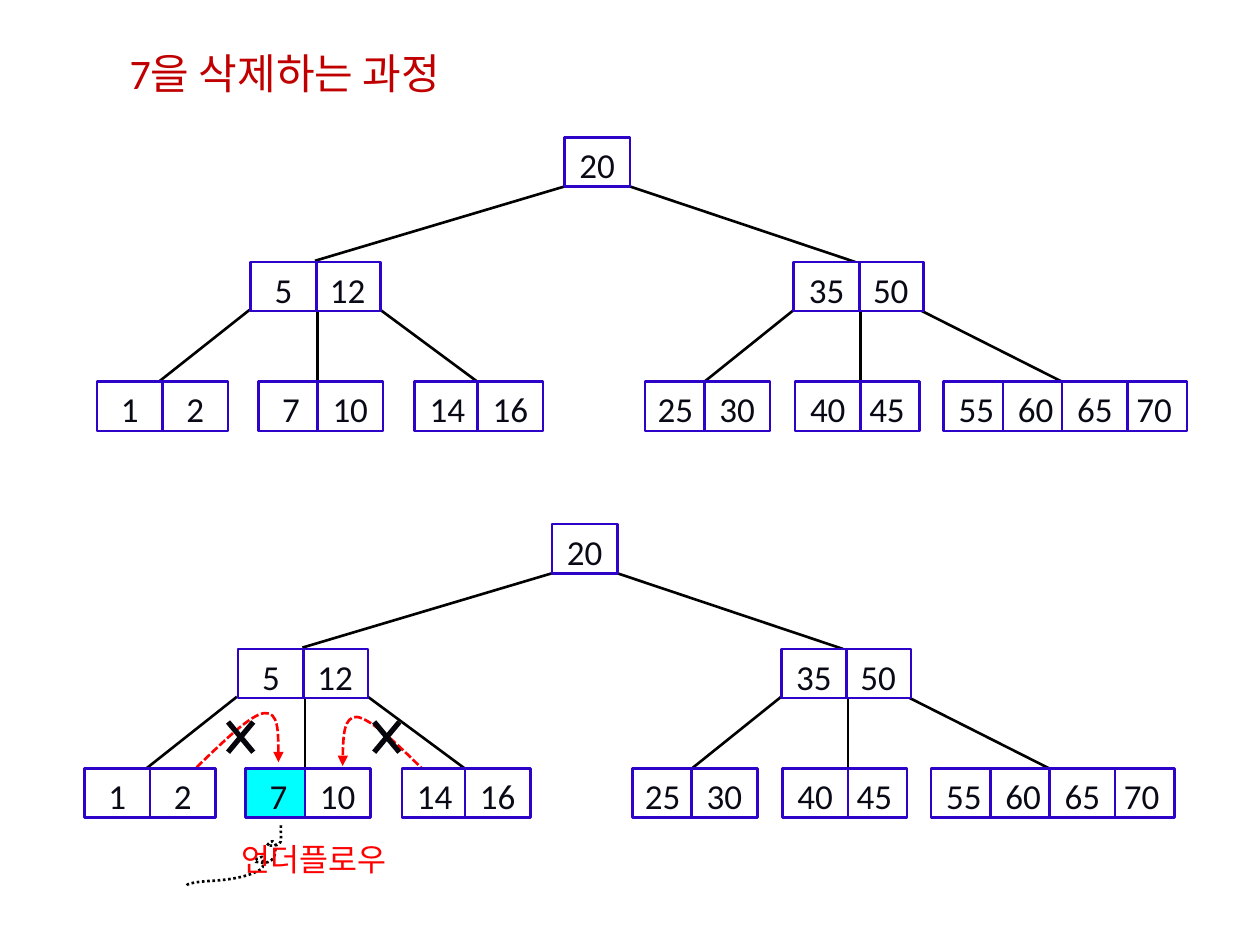
from lxml.etree import SubElement
from pptx import Presentation
from pptx.dml.color import RGBColor
from pptx.enum.dml import MSO_LINE
from pptx.enum.shapes import MSO_CONNECTOR, MSO_SHAPE
from pptx.enum.text import MSO_ANCHOR, MSO_AUTO_SIZE, PP_ALIGN
from pptx.oxml.ns import qn
from pptx.util import Inches, Pt

WHITE = RGBColor(0xFF, 0xFF, 0xFF)
BLACK = RGBColor(0x00, 0x00, 0x00)
INK = RGBColor(0x09, 0x0A, 0x15)
CROSS = RGBColor(0x05, 0x05, 0x0B)
BORDER = RGBColor(0x2D, 0x03, 0xC9)
RED = RGBColor(0xFF, 0x00, 0x00)
TITLE_RED = RGBColor(0xC0, 0x00, 0x00)
CYAN = RGBColor(0x00, 0xFF, 0xFF)

LATIN_FONT = "Calibri"
KOREAN_FONT = "Noto Sans CJK KR"
CELL_WIDTH, CELL_HEIGHT = 0.52, 0.39

# Each node: top, then its keys with their left edges
NODES = [
    (1.09, [("20", 4.48)]),
    (2.08, [("12", 2.5), ("5", 1.99)]),
    (2.08, [("50", 6.81), ("35", 6.3)]),
    (3.03, [("1", 0.77), ("2", 1.29)]),
    (3.03, [("7", 2.05), ("10", 2.52)]),
    (3.03, [("14", 3.29), ("16", 3.79)]),
    (3.03, [("25", 5.12), ("30", 5.59)]),
    (3.03, [("45", 6.78), ("40", 6.31)]),
    (3.03, [("55", 7.49), ("70", 8.9), ("60", 7.96), ("65", 8.43)]),
]
EDGES = [
    ((4.48, 1.48), (2.5, 2.07)), ((5, 1.48), (6.79, 2.08)),
    ((1.98, 2.46), (1.26, 3.03)), ((2.52, 2.46), (2.52, 3.03)),
    ((3.02, 2.46), (3.79, 3.03)), ((6.3, 2.46), (5.59, 3.03)),
    ((6.83, 2.46), (6.83, 3.03)), ((7.3, 2.46), (8.43, 3.03)),
]

# Curves: a start point, then three points for each Bezier segment
SQUIGGLE = [
    (2.23, 6.55), (2.22, 6.67), (2.27, 6.72), (2.12, 6.71),
    (2.16, 6.66), (2.17, 6.67), (2.19, 6.71),
    (2.18, 6.78), (2.19, 6.83), (2.1, 6.85),
    (2.08, 6.84), (2.05, 6.85), (2.03, 6.84),
    (2, 6.82), (2.06, 6.81), (2.08, 6.8),
    (2.09, 6.83), (2.1, 6.88), (2.07, 6.9),
    (1.97, 6.96), (1.83, 6.98), (1.7, 6.99),
    (1.69, 6.99), (1.48, 7), (1.48, 7.03),
]
BORROW_ARROWS = [
    [(3.38, 6.13), (3.16, 5.91), (2.94, 5.7), (2.83, 5.69),
     (2.73, 5.69), (2.72, 5.88), (2.72, 6.08)],
    [(1.56, 6.09), (1.78, 5.88), (1.99, 5.67), (2.1, 5.66),
     (2.21, 5.65), (2.21, 5.85), (2.21, 6.05)],
]


def write_text(frame, text, size=20, font=LATIN_FONT, color=INK,
               align=PP_ALIGN.CENTER, wrap=True):
    frame.word_wrap = wrap
    frame.vertical_anchor = MSO_ANCHOR.TOP
    paragraph = frame.paragraphs[0]
    paragraph.alignment = align
    run = paragraph.add_run()
    run.text = text
    run.font.size = Pt(size)
    run.font.name = font
    run.font.color.rgb = color
    SubElement(run.font._element, qn("a:ea"), typeface=KOREAN_FONT)


class TreeSlide:
    def __init__(self, slide):
        self.slide = slide
        self.shapes = slide.shapes

    def cell(self, left, top, text, fill=WHITE, align=PP_ALIGN.CENTER):
        shape = self.shapes.add_shape(
            MSO_SHAPE.RECTANGLE, Inches(left), Inches(top),
            Inches(CELL_WIDTH), Inches(CELL_HEIGHT))
        shape.shadow.inherit = False
        shape.fill.solid()
        shape.fill.fore_color.rgb = fill
        shape.line.color.rgb = BORDER
        shape.line.width = Pt(1.5)
        write_text(shape.text_frame, text, align=align)

    def line(self, start, end, color=BLACK, width=1.5):
        connector = self.shapes.add_connector(
            MSO_CONNECTOR.STRAIGHT, *[Inches(value) for value in (*start, *end)])
        connector.line.color.rgb = color
        connector.line.width = Pt(width)
        SubElement(connector._element.spPr, qn("a:effectLst"))

    def curve(self, points, color, dash, arrow=False):
        points = [(Inches(x), Inches(y)) for x, y in points]
        builder = self.shapes.build_freeform(*points[0])
        builder.add_line_segments(points[1:], close=False)
        shape = builder.convert_to_shape()
        shape.shadow.inherit = False
        shape.fill.background()
        shape.line.color.rgb = color
        shape.line.width = Pt(1.5)
        shape.line.dash_style = dash
        # Turn every three straight steps into one Bezier segment
        outline = shape._element.find(".//" + qn("a:path"))
        steps = outline.findall(qn("a:lnTo"))
        for first in range(0, len(steps), 3):
            bezier = SubElement(outline, qn("a:cubicBezTo"))
            for step in steps[first:first + 3]:
                bezier.append(step[0])
                outline.remove(step)
        if arrow:
            SubElement(shape.line._get_or_add_ln(), qn("a:tailEnd"), type="triangle")

    def cross(self, left, top, width=0.2, height=0.24):
        right, bottom = left + width, top + height
        self.line((left, top), (right, bottom), CROSS, 3)
        self.line((right, top), (left, bottom), CROSS, 3)

    def label(self, left, top, width, height, text, **text_format):
        box = self.shapes.add_textbox(
            Inches(left), Inches(top), Inches(width), Inches(height))
        write_text(box.text_frame, text, **text_format)
        box.text_frame.auto_size = MSO_AUTO_SIZE.SHAPE_TO_FIT_TEXT

    def tree(self, shift_x=0, shift_y=0, highlight=None):
        for start, end in EDGES:
            self.line(*[(x + shift_x, y + shift_y) for x, y in (start, end)])
        for top, keys in NODES:
            for key, left in keys:
                self.cell(left + shift_x, top + shift_y, key,
                          fill=CYAN if key == highlight else WHITE,
                          align=PP_ALIGN.LEFT if key == "25" else PP_ALIGN.CENTER)


def main():
    presentation = Presentation()
    presentation.slide_width = Inches(10)
    presentation.slide_height = Inches(7.5)
    page = TreeSlide(presentation.slides.add_slide(presentation.slide_layouts[6]))

    # Tree before the deletion
    page.tree()

    # Failed borrowing from the siblings, and the underflow
    page.curve(SQUIGGLE, BLACK, MSO_LINE.ROUND_DOT)
    for points in BORROW_ARROWS:
        page.curve(points, RED, MSO_LINE.SQUARE_DOT, arrow=True)
    for left in (1.81, 2.97):
        page.cross(left, 5.73)
    page.label(1.73, 6.62, 1.53, 0.4, "언더플로우", size=18, font=KOREAN_FONT, color=RED)

    # Tree with the key to delete
    page.tree(-0.1, 3.07, highlight="7")

    # Title
    page.label(0.93, 0.33, 2.88, 0.5, "7을 삭제하는 과정", size=24,
               color=TITLE_RED, align=PP_ALIGN.LEFT, wrap=False)

    presentation.save("out.pptx")


if __name__ == "__main__":
    main()
